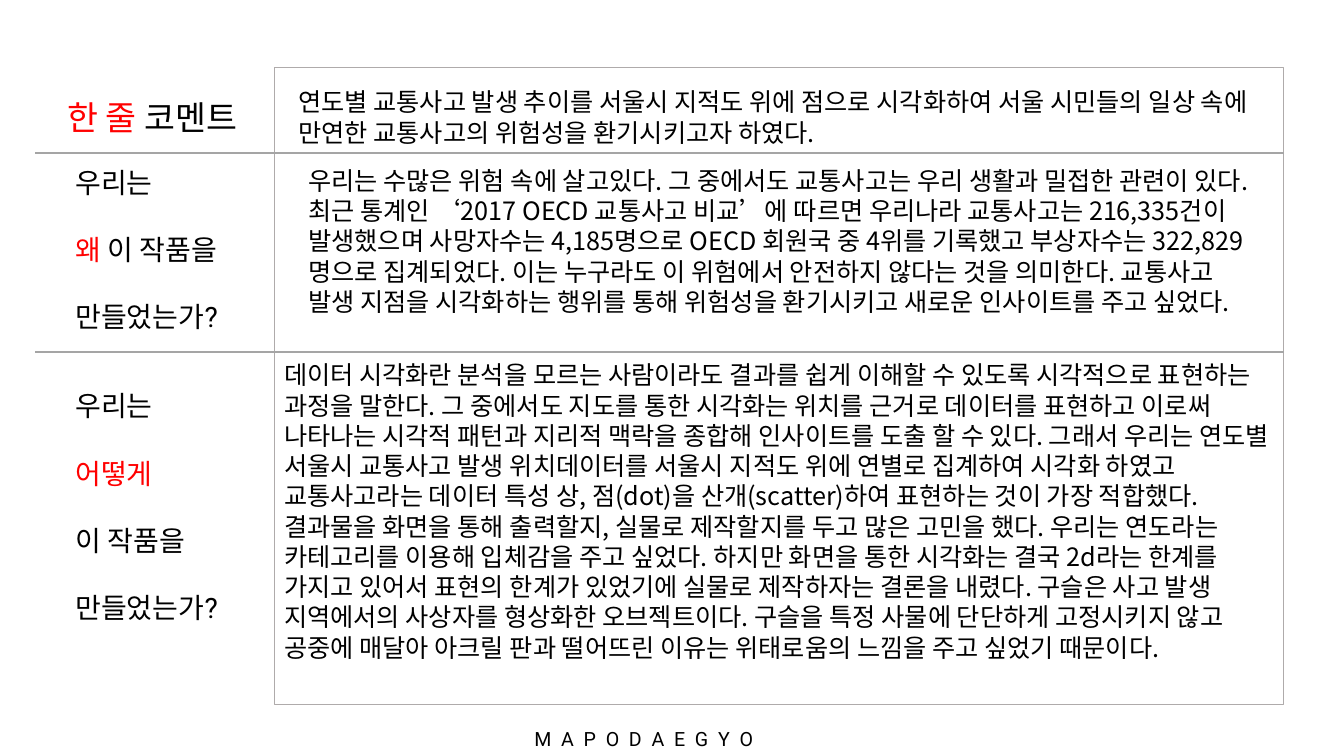
from lxml import etree
from pptx import Presentation
from pptx.dml.color import RGBColor
from pptx.enum.shapes import MSO_CONNECTOR, MSO_SHAPE
from pptx.enum.text import PP_ALIGN
from pptx.oxml.ns import qn
from pptx.util import Inches, Pt

RECT = MSO_SHAPE.RECTANGLE
STRAIGHT = MSO_CONNECTOR.STRAIGHT
LEFT, CENTER = PP_ALIGN.LEFT, PP_ALIGN.CENTER
BLACK, RED, WHITE = "000000", "FF0000", "FFFFFF"
FRAME_GRAY, RULE_GRAY = "AFABAB", "A5A5A5"
LATIN, KOREAN = "Roboto", "Noto Sans CJK KR"
LEADING = 1.2  # line height per point of text size

COMMENT = (
    "연도별 교통사고 발생 추이를 서울시 지적도 위에 점으로 시각화하여 서울 시민들의 일상 속에 "
    "만연한 교통사고의 위험성을 환기시키고자 하였다."
)
WHY = (
    "우리는 수많은 위험 속에 살고있다. 그 중에서도 교통사고는 우리 생활과 밀접한 관련이 있다. "
    "최근 통계인 ‘2017 OECD 교통사고 비교’에 따르면 우리나라 교통사고는 216,335건이 발생했으며 "
    "사망자수는 4,185명으로 OECD 회원국 중 4위를 기록했고 부상자수는 322,829명으로 집계되었다. "
    "이는 누구라도 이 위험에서 안전하지 않다는 것을 의미한다. "
    "교통사고 발생 지점을 시각화하는 행위를 통해 위험성을 환기시키고 새로운 인사이트를 주고 싶었다."
)
HOW = (
    "데이터 시각화란 분석을 모르는 사람이라도 결과를 쉽게 이해할 수 있도록 시각적으로 표현하는 "
    "과정을 말한다. 그 중에서도 지도를 통한 시각화는 위치를 근거로 데이터를 표현하고 이로써 "
    "나타나는 시각적 패턴과 지리적 맥락을 종합해 인사이트를 도출 할 수 있다. 그래서 우리는 "
    "연도별 서울시 교통사고 발생 위치데이터를 서울시 지적도 위에 연별로 집계하여 시각화 하였고 "
    "교통사고라는 데이터 특성 상, 점(dot)을 산개(scatter)하여 표현하는 것이 가장 적합했다. "
    "결과물을 화면을 통해 출력할지, 실물로 제작할지를 두고 많은 고민을 했다. 우리는 연도라는 "
    "카테고리를 이용해 입체감을 주고 싶었다. 하지만 화면을 통한 시각화는 결국 2d라는 한계를 "
    "가지고 있어서 표현의 한계가 있었기에 실물로 제작하자는 결론을 내렸다. 구슬은 사고 발생 "
    "지역에서의 사상자를 형상화한 오브젝트이다. 구슬을 특정 사물에 단단하게 고정시키지 않고 "
    "공중에 매달아 아크릴 판과 떨어뜨린 이유는 위태로움의 느낌을 주고 싶었기 때문이다."
)

# Each label is a list of paragraphs, each a list of (text, colour) runs
TITLE_LABEL = [[("한 줄", RED), (" 코멘트", BLACK)]]
WHY_LABEL = [
    [("우리는", BLACK)],
    [("왜", RED), (" 이 작품을", BLACK)],
    [("만들었는가?", BLACK)],
]
HOW_LABEL = [
    [("우리는", BLACK)],
    [("어떻게", RED)],
    [("이 작품을", BLACK)],
    [("만들었는가?", BLACK)],
]


def rgb(value):
    return RGBColor.from_string(value)


def add_frame(s, x, y, w, h):
    sp = s.shapes.add_shape(RECT, Inches(x), Inches(y), Inches(w), Inches(h))
    sp.shadow.inherit = False
    sp.fill.solid()
    sp.fill.fore_color.rgb = rgb(WHITE)
    sp.line.color.rgb = rgb(FRAME_GRAY)
    sp.line.width = Pt(1)


def add_rule(s, x1, x2, y):
    line = s.shapes.add_connector(
        STRAIGHT, Inches(x1), Inches(y), Inches(x2), Inches(y)
    )
    line.line.color.rgb = rgb(RULE_GRAY)
    line.line.width = Pt(1.5)
    etree.SubElement(line._element.spPr, qn("a:effectLst"))


def add_run(p, text, color, size, font, tracking):
    r = p.add_run()
    r.text = text
    for name, value in {"size": Pt(size), "name": font}.items():
        setattr(r.font, name, value)
    r.font.color.rgb = rgb(color)
    r_pr = r.font._element
    etree.SubElement(r_pr, qn("a:ea")).set("typeface", KOREAN)
    if tracking:
        r_pr.set("spc", str(tracking))


def add_text(s, x, y, w, h, paragraphs, size, font=LATIN, align=LEFT, tracking=0):
    tf = s.shapes.add_textbox(Inches(x), Inches(y), Inches(w), Inches(h)).text_frame
    tf.word_wrap = True
    leading = Pt(size * LEADING)
    for i, runs in enumerate(paragraphs):
        p = tf.paragraphs[0] if i == 0 else tf.add_paragraph()
        layout = {
            "alignment": align,
            "line_spacing": leading,
            "space_before": leading if i else Pt(0),
        }
        for name, value in layout.items():
            setattr(p, name, value)
        for text, color in runs:
            add_run(p, text, color, size, font, tracking)


def add_body(s, x, y, w, h, text):
    add_text(s, x, y, w, h, [[(text, BLACK)]], 18, KOREAN)


def main():
    prs = Presentation()
    prs.slide_width, prs.slide_height = Inches(13.33), Inches(7.5)
    s = prs.slides.add_slide(prs.slide_layouts[6])

    # Frame and row rules
    add_frame(s, 2.72, 0.67, 10.01, 6.32)
    for y in (1.52, 3.49):
        add_rule(s, 0.35, 12.73, y)

    # Row labels
    add_text(s, 0.57, 0.91, 2.07, 0.5, TITLE_LABEL, 24)
    add_text(s, 0.65, 1.59, 1.76, 1.78, WHY_LABEL, 20)
    add_text(s, 0.65, 3.81, 1.76, 2.46, HOW_LABEL, 20)

    # Row texts
    add_body(s, 2.86, 0.81, 9.75, 0.71, COMMENT)
    add_body(s, 2.96, 1.59, 9.55, 2.22, WHY)
    add_body(s, 2.72, 3.52, 10.01, 3.43, HOW)

    # Footer, letter-spaced (tracking in hundredths of a point)
    footer = [[("M A P O D A E G Y O", BLACK)]]
    add_text(s, 4.69, 7.16, 3.39, 0.34, footer, 14, align=CENTER, tracking=173)

    prs.save("out.pptx")


if __name__ == "__main__":
    main()
